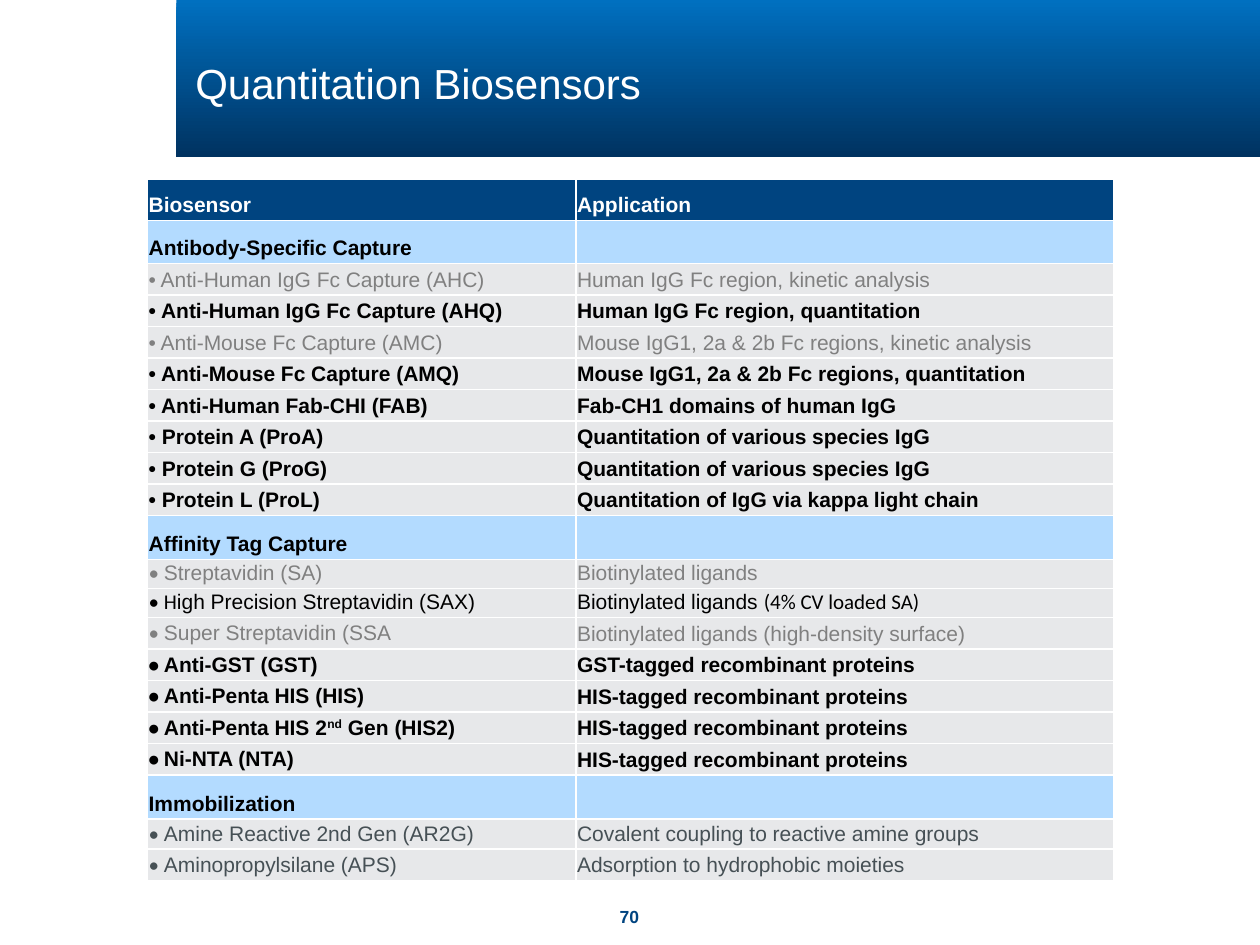
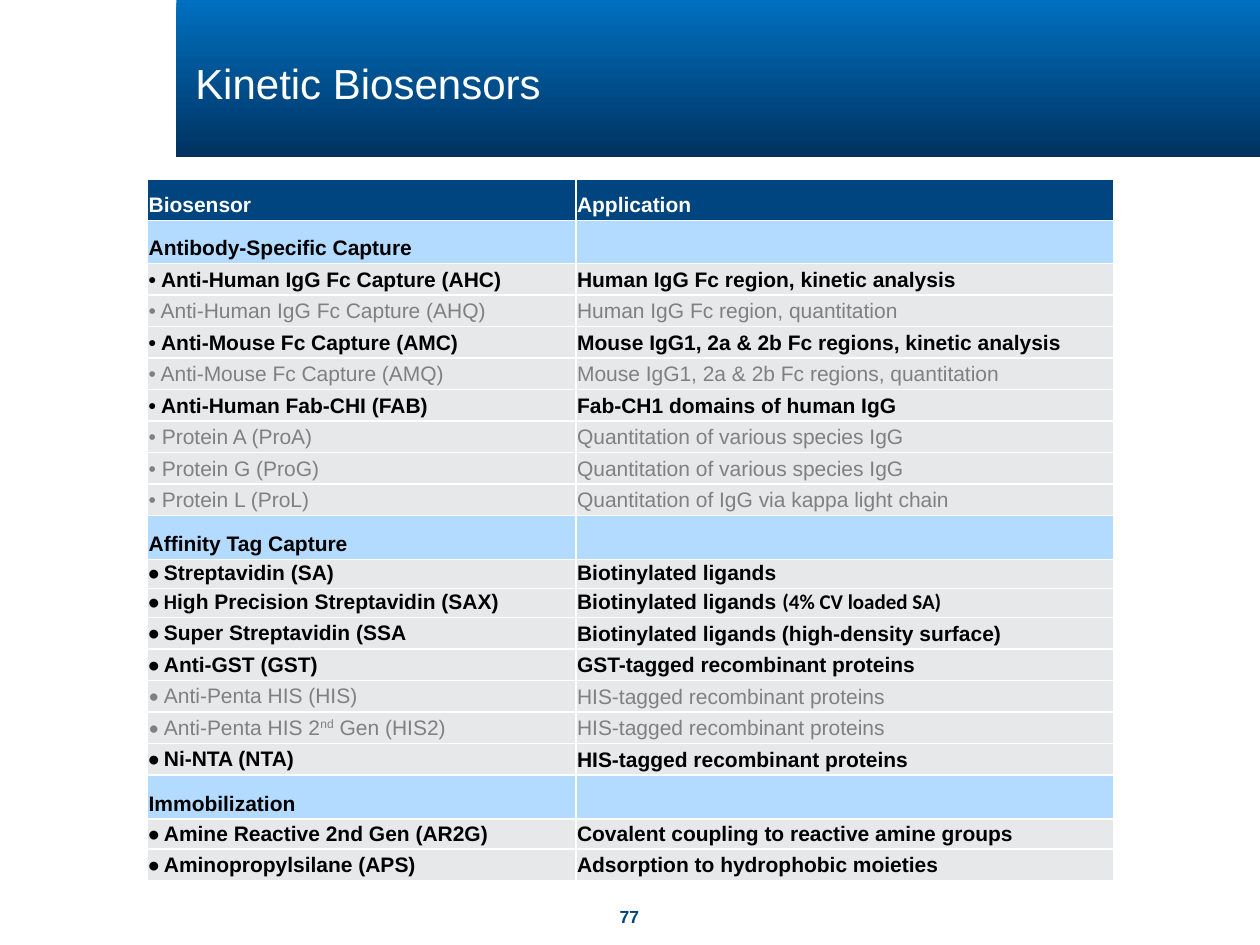
import pptx
import pptx.dml.color
import pptx.enum.shapes
import pptx.enum.text
import pptx.oxml
import pptx.oxml.ns
import pptx.util
from pptx.util import Inches

COLORS = {
    "white": "FFFFFF",
    "black": "000000",
    "navy": "004480",
    "band_top": "0070C0",
    "band_bottom": "003260",
    "section": "B3DBFF",
    "row": "E7E8EA",
    "grey": "808080",
    "slate": "465055",
}
STYLES = {
    "active": {"color": "black", "bold": True},
    "plain": {"color": "black"},
    "muted": {"color": "grey"},
    "slate": {"color": "slate"},
}
CALIBRI = {"font": "Calibri"}
DOT = ("• ", CALIBRI)

SECTIONS = [
    ("Antibody-Specific Capture", 0.33, [
        ("AHC", 0.25, "• Anti-Human IgG Fc Capture (AHC)", "Human IgG Fc region, kinetic analysis"),
        ("AHQ", 0.25, "• Anti-Human IgG Fc Capture (AHQ)", "Human IgG Fc region, quantitation"),
        ("AMC", 0.25, "• Anti-Mouse Fc Capture (AMC)", "Mouse IgG1, 2a & 2b Fc regions, kinetic analysis"),
        ("AMQ", 0.25, "• Anti-Mouse Fc Capture (AMQ)", "Mouse IgG1, 2a & 2b Fc regions, quantitation"),
        ("FAB", 0.25, "• Anti-Human Fab-CHI (FAB)", "Fab-CH1 domains of human IgG"),
        ("ProA", 0.25, "• Protein A (ProA)", "Quantitation of various species IgG"),
        ("ProG", 0.25, "• Protein G (ProG)", "Quantitation of various species IgG"),
        ("ProL", 0.25, "• Protein L (ProL)", "Quantitation of IgG via kappa light chain"),
    ]),
    ("Affinity Tag Capture", 0.35, [
        ("SA", 0.23, [DOT, ("Streptavidin (SA)", {})], "Biotinylated ligands"),
        ("SAX", 0.23, [("• H", CALIBRI), ("igh Precision Streptavidin (SAX)", {})],
         [("Biotinylated ligands ", {}), ("(4% CV loaded SA)", CALIBRI)]),
        ("SSA", 0.25, [DOT, ("Super Streptavidin (SSA", {})], "Biotinylated ligands (high-density surface)"),
        ("GST", 0.25, [DOT, ("Anti-GST (GST)", {})], "GST-tagged recombinant proteins"),
        ("HIS", 0.25, [DOT, ("Anti-Penta HIS (HIS)", {})], "HIS-tagged recombinant proteins"),
        ("HIS2", 0.25, [DOT, ("Anti-Penta HIS 2", {}), ("nd", {"raised": True}), (" Gen (HIS2)", {})],
         "HIS-tagged recombinant proteins"),
        ("NTA", 0.25, [DOT, ("Ni-NTA (NTA)", {})], "HIS-tagged recombinant proteins"),
    ]),
    ("Immobilization", 0.35, [
        ("AR2G", 0.24, [DOT, ("Amine Reactive 2nd Gen (AR2G)", {})], "Covalent coupling to reactive amine groups"),
        ("APS", 0.25, [DOT, ("Aminopropylsilane (APS)", {})], "Adsorption to hydrophobic moieties"),
    ]),
]
SLIDES = [
    ("Quantitation Biosensors", "70",
     {"muted": ["AHC", "AMC", "SA", "SSA"], "plain": ["SAX"], "slate": ["AR2G", "APS"]}),
    ("Kinetic Biosensors", "77",
     {"muted": ["AHQ", "AMQ", "ProA", "ProG", "ProL", "HIS", "HIS2"]}),
]


def write(tf, text, size=12, color="black", bold=False, font="Arial", align="LEFT", spacing=0.85):
    tf.margin_left = tf.margin_right = tf.margin_top = tf.margin_bottom = 0
    tf.word_wrap = True
    p = tf.paragraphs[0]
    p.alignment = getattr(pptx.enum.text.PP_ALIGN, align)
    p.line_spacing = spacing
    for part, look in [(text, {})] if isinstance(text, str) else text:
        r = p.add_run()
        r.text = part
        r.font.size = pptx.util.Pt(size)
        r.font.bold = bold
        r.font.name = look.get("font", font)
        r.font.color.rgb = pptx.dml.color.RGBColor.from_string(COLORS[color])
        if look.get("raised"):
            r.font._element.set("baseline", "30000")


def format_cell(cell, fill):
    cell.vertical_anchor = pptx.enum.text.MSO_ANCHOR.BOTTOM
    cell.margin_left = cell.margin_right = cell.margin_top = Inches(0.01)
    cell.margin_bottom = Inches(0.03)
    tc_pr = cell._tc.get_or_add_tcPr()
    for side in ("lnL", "lnR", "lnT", "lnB"):
        tc_pr.append(pptx.oxml.parse_xml(
            f'<a:{side} {pptx.oxml.ns.nsdecls("a")} w="12700"><a:solidFill>'
            f'<a:srgbClr val="{COLORS["white"]}"/></a:solidFill></a:{side}>'))
    cell.fill.solid()
    cell.fill.fore_color.rgb = pptx.dml.color.RGBColor.from_string(COLORS[fill])


prs = pptx.Presentation()
prs.slide_width = Inches(10)
prs.slide_height = Inches(7.5)

for title, number, exceptions in SLIDES:
    s = prs.slides.add_slide(prs.slide_layouts[6])

    sp = s.shapes.add_textbox(Inches(4.75), Inches(7.19), Inches(0.49), Inches(0.17))
    write(sp.text_frame, number, size=10, color="navy", bold=True, align="CENTER", spacing=1.0)

    band = s.shapes.add_shape(pptx.enum.shapes.MSO_SHAPE.RECTANGLE,
                              Inches(1.4), 0, Inches(8.6), Inches(1.25))
    band.shadow.inherit = False
    band.line.fill.background()
    band.fill.gradient()
    band.fill.gradient_angle = 270
    for stop, position, color in zip(band.fill.gradient_stops, (0, 1), ("band_top", "band_bottom")):
        stop.position = position
        stop.color.rgb = pptx.dml.color.RGBColor.from_string(COLORS[color])

    sp = s.shapes.add_textbox(Inches(1.55), Inches(0.22), Inches(8.16), Inches(0.93))
    sp.text_frame.vertical_anchor = pptx.enum.text.MSO_ANCHOR.MIDDLE
    write(sp.text_frame, title, size=24, color="white")

    style_of = {code: style for style, codes in exceptions.items() for code in codes}
    rows = [(0.33, "navy", {"color": "white", "bold": True}, ("Biosensor", "Application"))]
    for heading, height, sensors in SECTIONS:
        rows.append((height, "section", STYLES["active"], (heading, "")))
        for code, height, sensor, application in sensors:
            style = STYLES[style_of.get(code, "active")]
            rows.append((height, "row", style, (sensor, application)))

    table_height = sum(row[0] for row in rows)
    table = s.shapes.add_table(len(rows), 2, Inches(1.17), Inches(1.42),
                               Inches(7.67), Inches(table_height)).table
    table.columns[0].width = Inches(3.4)
    table.columns[1].width = Inches(4.27)
    for i, (height, fill, style, texts) in enumerate(rows):
        table.rows[i].height = Inches(height)
        for cell, text in zip(table.rows[i].cells, texts):
            if text:
                write(cell.text_frame, text, **style)
            format_cell(cell, fill)

prs.save("out.pptx")
